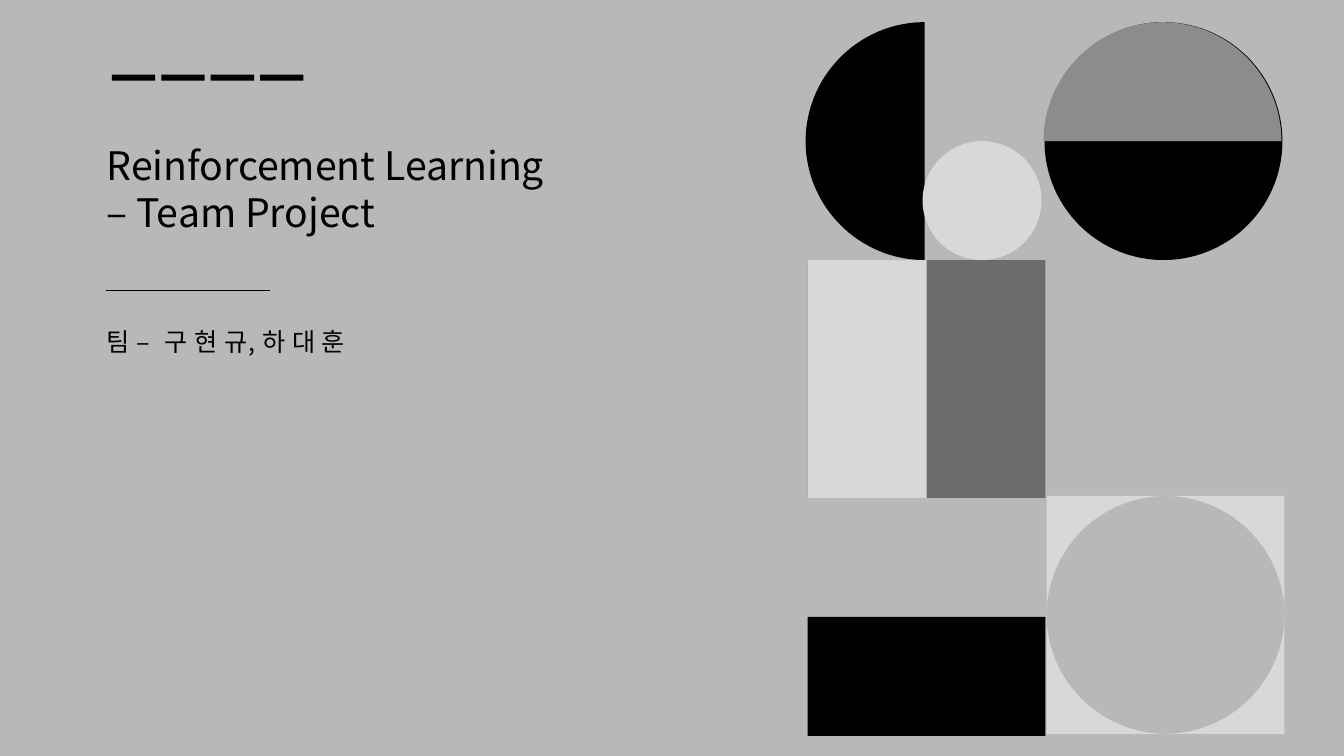
from dataclasses import dataclass

from lxml import etree
from pptx import Presentation
from pptx import util as u
from pptx.dml import color
from pptx.enum import shapes, text
from pptx.oxml import ns

FONT = "Noto Sans CJK KR"
BLACK, DARK, MIDDLE, GRAY, LIGHT = "000000", "6C6C6C", "8C8C8C", "B8B8B8", "D8D8D8"
TILE = 2.36
HALF = TILE / 2
CURVE = 0.55  # handle length of a quarter circle, as a share of its radius
RECTANGLE = shapes.MSO_SHAPE.RECTANGLE
OVAL = shapes.MSO_SHAPE.OVAL
Point = tuple[float, float]


@dataclass
class Block:
    left: float
    top: float
    width: float
    height: float
    fill: str
    kind: shapes.MSO_SHAPE = RECTANGLE


@dataclass
class Sector:
    """Quarter arcs through unit points around a centre, then an optional corner."""
    x: float
    y: float
    arc: list[Point]
    fill: str
    corner: Point | None = None


@dataclass
class TextBlock:
    left: float
    top: float
    width: float
    height: float
    size: int
    line_spacing: float
    paragraphs: list[list[str]]
    tracking: int = 0
    gap_tracking: int = 0


def rgb(value: str) -> color.RGBColor:
    return color.RGBColor.from_string(value)


def paint(shape, fill: str) -> None:
    shape.fill.solid()
    shape.fill.fore_color.rgb = rgb(fill)
    shape.line.fill.background()
    shape.shadow.inherit = False


def draw_block(slide, block: Block) -> None:
    box = map(u.Inches, (block.left, block.top, block.width, block.height))
    paint(slide.shapes.add_shape(block.kind, *box), block.fill)


def draw_sector(slide, sector: Sector) -> None:
    def place(point: Point) -> tuple[int, int]:
        return (u.Inches(sector.x + HALF * point[0]), u.Inches(sector.y + HALF * point[1]))

    outline = sector.arc + ([sector.corner] if sector.corner else [])
    builder = slide.shapes.build_freeform(*place(outline[0]))
    builder.add_line_segments([place(point) for point in outline[1:]], close=True)
    shape = builder.convert_to_shape()
    paint(shape, sector.fill)

    # Bend the straight sides between arc points into quarter circles
    sides = list(shape._element.iter(ns.qn("a:lnTo")))
    for side, start, end in zip(sides, sector.arc, sector.arc[1:]):
        tangent = (start[0] + end[0], start[1] + end[1])
        curve = etree.Element(ns.qn("a:cubicBezTo"))
        for anchor in (start, end):
            handle = place(tuple(a + CURVE * (t - a) for a, t in zip(anchor, tangent)))
            etree.SubElement(curve, ns.qn("a:pt"), x=str(handle[0] - shape.left),
                             y=str(handle[1] - shape.top))
        curve.append(side[0])
        side.getparent().replace(side, curve)


def draw_text(slide, block: TextBlock) -> None:
    box = map(u.Inches, (block.left, block.top, block.width, block.height))
    frame = slide.shapes.add_textbox(*box).text_frame
    frame.word_wrap = True
    frame.vertical_anchor = text.MSO_ANCHOR.TOP
    for index, pieces in enumerate(block.paragraphs):
        paragraph = frame.add_paragraph() if index else frame.paragraphs[0]
        paragraph.line_spacing = block.line_spacing
        paragraph.font.size = u.Pt(block.size)
        paragraph.font.name = FONT
        paragraph.font.color.rgb = rgb(BLACK)
        for piece in pieces:
            run = paragraph.add_run()
            run.text = piece
            properties = run._r.get_or_add_rPr()
            etree.SubElement(properties, ns.qn("a:ea"), typeface=FONT)
            tracking = block.tracking if piece.strip() else block.gap_tracking
            if tracking:
                properties.set("spc", str(tracking))


def draw_rule(slide, left: float, right: float, y: float) -> None:
    ends = map(u.Inches, (left, y, right, y))
    rule = slide.shapes.add_connector(shapes.MSO_CONNECTOR.STRAIGHT, *ends)
    rule.line.color.rgb = rgb(BLACK)
    rule.line.width = u.Pt(1)
    etree.SubElement(rule._element.spPr, ns.qn("a:effectLst"))


# Geometric pattern, from back to front
PATTERN = [
    Block(10.36, 0.22, TILE, TILE, BLACK, OVAL),
    Block(8.01, 2.58, TILE, TILE, DARK),
    Block(8.01, 2.58, HALF, TILE, LIGHT),
    Sector(11.53, 1.4, [(-1, 0), (0, -1), (1, 0)], MIDDLE),
    *(
        Sector(11.56, 6.1, [(dx, 0), (0, dy)], LIGHT, (dx, dy))
        for dy in (-1, 1) for dx in (-1, 1)
    ),
    Sector(9.17, 1.4, [(0, 1), (-1, 0), (0, -1)], BLACK),
    Block(9.15, 1.4, HALF, HALF, LIGHT, OVAL),
    Block(8.01, 6.12, TILE, HALF, BLACK),
]

# Row of dashes above the title
DASHES = [Block(1.11 + 0.49 * index, 0.74, 0.43, 0.06, BLACK) for index in range(4)]

TITLE = TextBlock(0.96, 1.35, 5.07, 1.04, 28, 1.0,
                  [["Reinforcement Learning"], ["– Team Project"]])
TEAM = TextBlock(0.96, 3.1, 4.08, 0.45, 18, 1.3,
                 [["팀 –", " ", "구 현 규, 하 대 훈"]], tracking=40, gap_tracking=600)


def main() -> None:
    presentation = Presentation()
    presentation.slide_width = u.Inches(13.33)
    presentation.slide_height = u.Inches(7.5)
    slide = presentation.slides.add_slide(presentation.slide_layouts[6])

    # Background
    slide.background.fill.solid()
    slide.background.fill.fore_color.rgb = rgb(LIGHT)
    draw_block(slide, Block(0, 0, 13.33, 7.5, GRAY))

    # Team line and rule
    draw_text(slide, TEAM)
    draw_rule(slide, 1.05, 2.68, 2.88)

    # Decoration
    for item in PATTERN + DASHES:
        if isinstance(item, Sector):
            draw_sector(slide, item)
        else:
            draw_block(slide, item)

    # Title
    draw_text(slide, TITLE)
    presentation.save("out.pptx")


if __name__ == "__main__":
    main()
